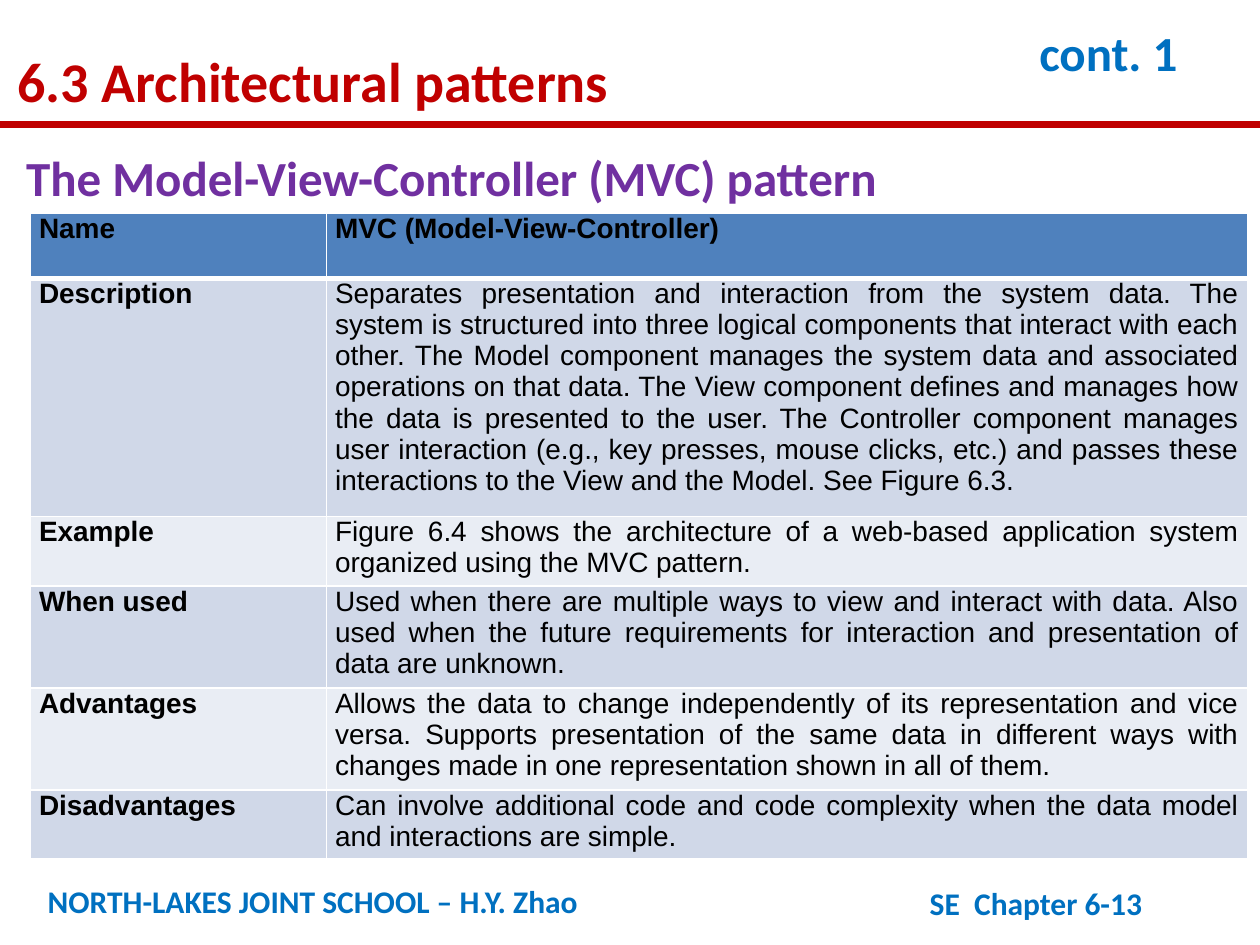
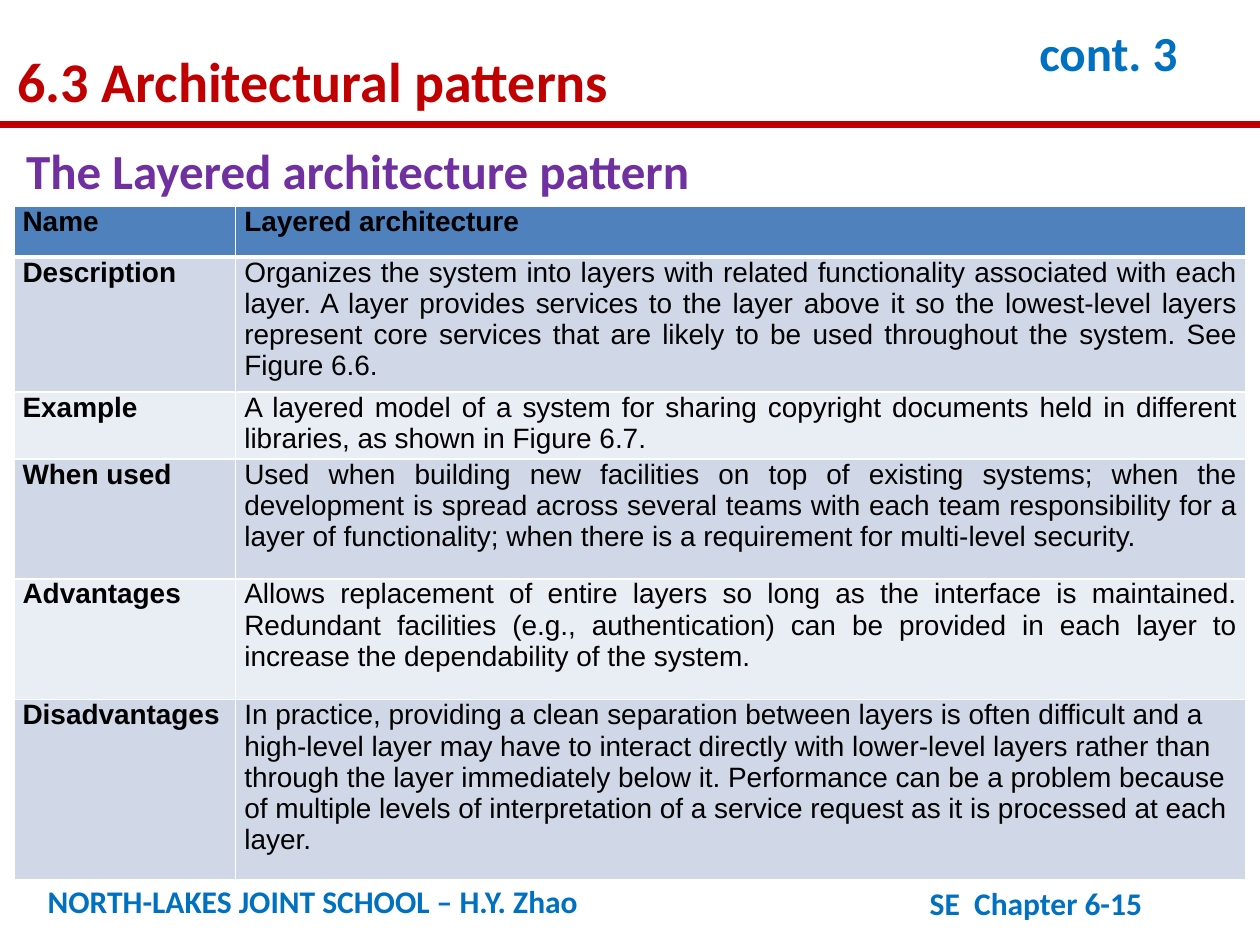
from dataclasses import dataclass

from pptx import Presentation
from pptx.dml.color import RGBColor
from pptx.enum.shapes import MSO_CONNECTOR
from pptx.enum.text import PP_ALIGN
from pptx.oxml.ns import qn
from pptx.slide import Slide
from pptx.table import _Cell as Cell
from pptx.util import Inches, Length, Pt
from lxml.etree import SubElement

RED = RGBColor(0xC0, 0x00, 0x00)
BLUE = RGBColor(0x00, 0x70, 0xC0)
PURPLE = RGBColor(0x70, 0x30, 0xA0)
BLACK = RGBColor(0x00, 0x00, 0x00)
WHITE = RGBColor(0xFF, 0xFF, 0xFF)
HEADER = RGBColor(0x4F, 0x81, 0xBD)
BANDS = (RGBColor(0xE9, 0xED, 0xF4), RGBColor(0xD0, 0xD8, 0xE8))

HEADING_FONT = "Calibri"
TABLE_FONT = "Arial"
LABELS = ("Name", "Description", "Example", "When used", "Advantages", "Disadvantages")
THIN, THICK = Pt(1), Pt(3)


@dataclass(frozen=True)
class TextStyle:
    left: float
    top: float
    width: float
    height: float
    size: int
    color: RGBColor
    spacing: float | Length | None = None


@dataclass(frozen=True)
class PatternTable:
    left: float
    top: float
    columns: tuple[float, float]
    rows: tuple[float, ...]
    entries: tuple[str, ...]
    last_align: PP_ALIGN = PP_ALIGN.JUSTIFY


@dataclass(frozen=True)
class PatternSlide:
    page: int
    continuation: int
    heading: str
    heading_top: float
    table: PatternTable


TITLE = TextStyle(0.04, 0.21, 6.54, 0.7, 32, RED, 1.2)
CONTINUATION = TextStyle(8.15, 0.25, 1.57, 0.47, 28, BLUE, Pt(25))
SCHOOL = TextStyle(0.28, 6.95, 6.31, 0.4, 18, BLUE)
PAGE = TextStyle(7.28, 6.97, 2.61, 0.4, 18, BLUE)

SLIDES = (
    PatternSlide(
        13, 1, "The Model-View-Controller (MVC) pattern", 1.12,
        PatternTable(
            0.24, 1.69, (2.35, 7.31), (0.52, 1.89, 0.55, 0.81, 0.81, 0.55),
            (
                "MVC (Model-View-Controller)",
                "Separates presentation and interaction from the system data. The system is "
                "structured into three logical components that interact with each other. The "
                "Model component manages the system data and associated operations on that "
                "data. The View component defines and manages how the data is presented to "
                "the user. The Controller component manages user interaction (e.g., key "
                "presses, mouse clicks, etc.) and passes these interactions to the View and "
                "the Model. See Figure 6.3.",
                "Figure 6.4 shows the architecture of a web-based application system "
                "organized using the MVC pattern.",
                "Used when there are multiple ways to view and interact with data. Also used "
                "when the future requirements for interaction and presentation of data are "
                "unknown.",
                "Allows the data to change independently of its representation and vice "
                "versa. Supports presentation of the same data in different ways with "
                "changes made in one representation shown in all of them.",
                "Can involve additional code and code complexity when the data model and "
                "interactions are simple.",
            ),
        ),
    ),
    PatternSlide(
        15, 3, "The Layered architecture pattern", 1.07,
        PatternTable(
            0.11, 1.64, (1.76, 8.02), (0.4, 1.07, 0.53, 0.95, 0.96, 1.43),
            (
                "Layered architecture",
                "Organizes the system into layers with related functionality associated with "
                "each layer. A layer provides services to the layer above it so the "
                "lowest-level layers represent core services that are likely to be used "
                "throughout the system. See Figure 6.6.",
                "A layered model of a system for sharing copyright documents held in "
                "different libraries, as shown in Figure 6.7.",
                "Used when building new facilities on top of existing systems; when the "
                "development is spread across several teams with each team responsibility "
                "for a layer of functionality; when there is a requirement for multi-level "
                "security.",
                "Allows replacement of entire layers so long as the interface is maintained. "
                "Redundant facilities (e.g., authentication) can be provided in each layer "
                "to increase the dependability of the system.",
                "In practice, providing a clean separation between layers is often difficult "
                "and a high-level layer may have to interact directly with lower-level "
                "layers rather than through the layer immediately below it. Performance can "
                "be a problem because of multiple levels of interpretation of a service "
                "request as it is processed at each layer.",
            ),
            PP_ALIGN.LEFT,
        ),
    ),
)


def add_text(s: Slide, text: str, style: TextStyle) -> None:
    sp = s.shapes.add_textbox(
        Inches(style.left), Inches(style.top), Inches(style.width), Inches(style.height)
    )
    tf = sp.text_frame
    tf.word_wrap = True
    tf.text = text
    p = tf.paragraphs[0]
    p.line_spacing = style.spacing
    font = p.runs[0].font
    font.name, font.size, font.bold = HEADING_FONT, Pt(style.size), True
    font.color.rgb = style.color


def add_rule(s: Slide) -> None:
    rule = s.shapes.add_connector(
        MSO_CONNECTOR.STRAIGHT, Inches(0), Inches(0.99), Inches(10), Inches(0.99)
    )
    rule.line.color.rgb = RED
    rule.line.width = Pt(4)
    SubElement(rule._element.spPr, qn("a:effectLst"))


def set_borders(cell: Cell, top: Length, bottom: Length) -> None:
    tc_pr = cell._tc.get_or_add_tcPr()
    for side, width in (("L", THIN), ("R", THIN), ("T", top), ("B", bottom)):
        ln = SubElement(tc_pr, qn(f"a:ln{side}"), w=str(int(width)))
        fill = SubElement(ln, qn("a:solidFill"))
        SubElement(fill, qn("a:srgbClr"), val=str(WHITE))


def fill_cell(cell: Cell, text: str, row: int, bold: bool, align: PP_ALIGN) -> None:
    cell.text = text
    cell.margin_left = cell.margin_right = Inches(0.07)
    cell.margin_top = cell.margin_bottom = Inches(0)
    set_borders(cell, THICK if row == 1 else THIN, THICK if row == 0 else THIN)
    cell.fill.solid()
    cell.fill.fore_color.rgb = BANDS[row % 2] if row else HEADER
    p = cell.text_frame.paragraphs[0]
    p.alignment = align
    font = p.runs[0].font
    font.name, font.size, font.bold = TABLE_FONT, Pt(16), bold
    font.color.rgb = BLACK


def add_pattern_table(s: Slide, spec: PatternTable) -> None:
    table = s.shapes.add_table(
        len(spec.rows), len(spec.columns), Inches(spec.left), Inches(spec.top),
        Inches(sum(spec.columns)), Inches(sum(spec.rows)),
    ).table
    for column, width in zip(table.columns, spec.columns):
        column.width = Inches(width)
    last = len(spec.rows) - 1
    for i, (label, entry, height) in enumerate(zip(LABELS, spec.entries, spec.rows)):
        table.rows[i].height = Inches(height)
        align = spec.last_align if i == last else PP_ALIGN.JUSTIFY
        fill_cell(table.cell(i, 0), label, i, True, PP_ALIGN.JUSTIFY)
        fill_cell(table.cell(i, 1), entry, i, i == 0, align)


def add_frame(s: Slide, page: int, continuation: int) -> None:
    add_rule(s)
    add_text(s, "NORTH-LAKES JOINT SCHOOL – H.Y. Zhao", SCHOOL)
    add_text(s, f"SE  Chapter 6-{page}", PAGE)
    add_text(s, "6.3 Architectural patterns", TITLE)
    add_text(s, f"cont. {continuation}", CONTINUATION)


def main() -> None:
    prs = Presentation()
    prs.slide_width, prs.slide_height = Inches(10), Inches(7.5)
    for content in SLIDES:
        s = prs.slides.add_slide(prs.slide_layouts[6])
        add_frame(s, content.page, content.continuation)
        add_pattern_table(s, content.table)
        heading = TextStyle(0.11, content.heading_top, 9.85, 0.57, 28, PURPLE)
        add_text(s, content.heading, heading)
    prs.save("out.pptx")


if __name__ == "__main__":
    main()
